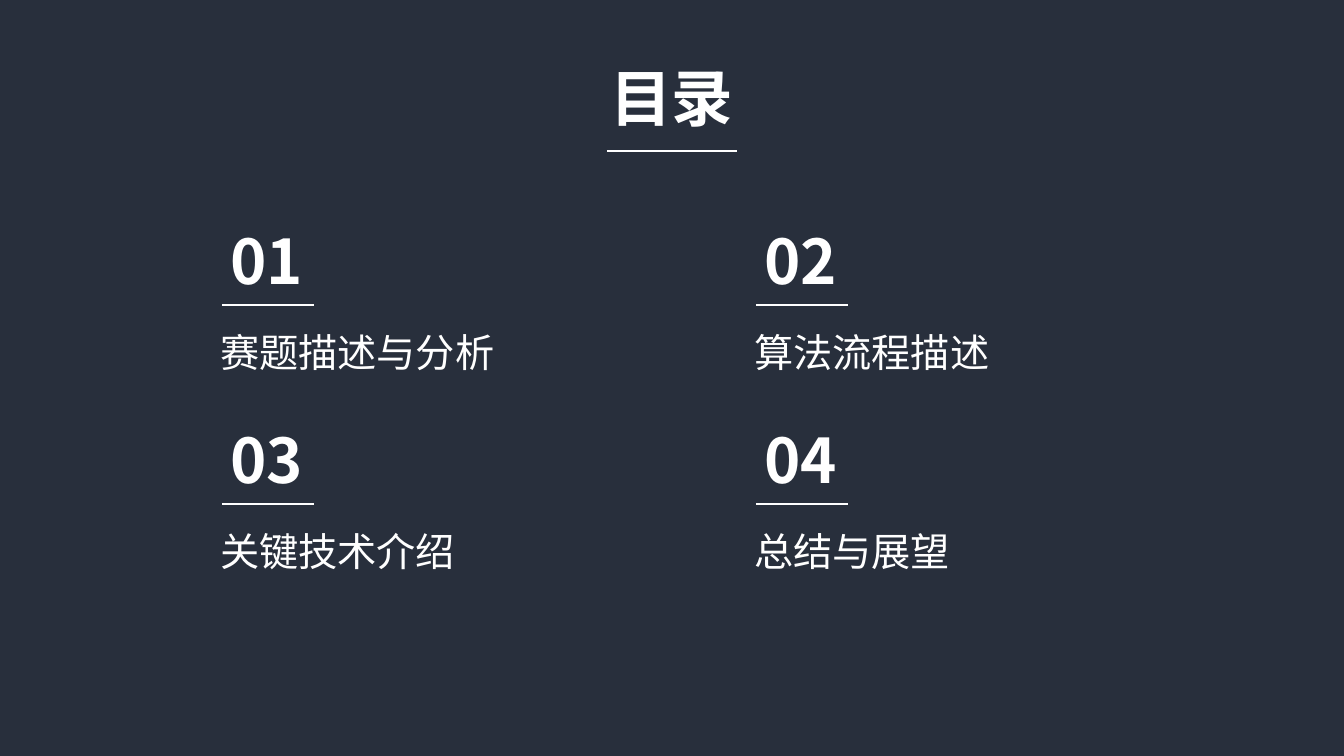
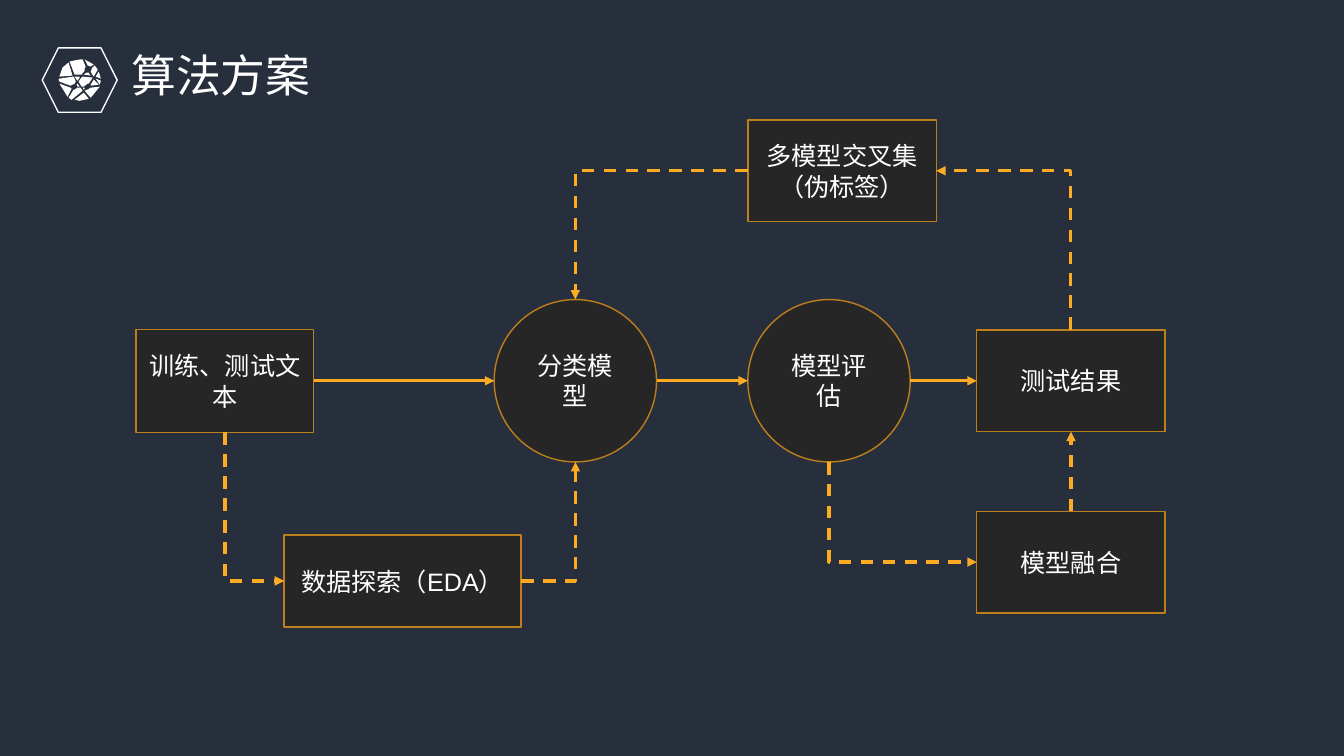
"""Build a contents slide and an algorithm flow slide in one dark style."""
from lxml.etree import SubElement
from pptx import Presentation
from pptx.dml.color import RGBColor
from pptx.enum.dml import MSO_LINE
from pptx.enum.shapes import MSO_CONNECTOR, MSO_SHAPE
from pptx.enum.text import MSO_ANCHOR, MSO_AUTO_SIZE, PP_ALIGN
from pptx.oxml.ns import qn
from pptx.util import Pt

COLORS = {
    "back": "282F3C",
    "text": "FFFFFF",
    "node": "262626",
    "edge": "BC7F1B",
    "flow": "FEAB24",
}
CJK = "Noto Sans CJK SC"
SIDES = {
    "top": (0, 0.5, 0),
    "left": (1, 0, 0.5),
    "bottom": (2, 0.5, 1),
    "right": (3, 1, 0.5),
}
TOPICS = ["赛题描述与分析", "算法流程描述", "关键技术介绍", "总结与展望"]
NODES = {
    "data": ("训练、测试文本", MSO_SHAPE.RECTANGLE, 160.7, 272, 127, 73.5),
    "classify": ("分类模型", MSO_SHAPE.OVAL, 411, 272, 116, 116),
    "explore": ("数据探索（EDA）", MSO_SHAPE.RECTANGLE, 287.6, 415, 169.2, 65.5),
    "assess": ("模型评估", MSO_SHAPE.OVAL, 592.2, 272, 116, 116),
    "cross": ("多模型交叉集（伪标签）", MSO_SHAPE.RECTANGLE, 601.5, 122, 134.6, 72.7),
    "result": ("测试结果", MSO_SHAPE.RECTANGLE, 765, 272, 134.6, 72.7),
    "fusion": ("模型融合", MSO_SHAPE.RECTANGLE, 765, 401.5, 134.6, 72.7),
}
FLOWS = [
    ("data", "right", "classify", "left", False),
    ("classify", "right", "assess", "left", False),
    ("assess", "right", "result", "left", False),
    ("data", "bottom", "explore", "left", True),
    ("explore", "right", "classify", "bottom", True),
    ("cross", "left", "classify", "top", True),
    ("result", "top", "cross", "right", True),
    ("fusion", "top", "result", "bottom", True),
    ("assess", "bottom", "fusion", "left", True),
]
GLOBE = [
    [(83, 92), (85, 94), (88, 98), (79, 100), (74, 99)],
    [(82, 87), (84, 87), (84, 88), (83, 89)],
    [(77, 87), (79, 87), (80, 87), (82, 90), (71, 99), (68, 97), (73, 89), (74, 89)],
    [(99, 86), (90, 97), (84, 90), (86, 89), (87, 89), (90, 87)],
    [(59, 83), (70, 87), (71, 88), (67, 96)],
    [(77, 83), (79, 86), (77, 86), (76, 84)],
    [(93, 79), (98, 84), (90, 85), (90, 84)],
    [(95, 78), (100, 80), (99, 84)],
    [(73, 76), (75, 80), (75, 81), (74, 83), (70, 85), (59, 81), (58, 79), (59, 78)],
    [(82, 76), (92, 77), (88, 83), (87, 83), (83, 86), (81, 86), (78, 81), (80, 78)],
    [(79, 76), (79, 77), (77, 80), (76, 79), (74, 76)],
    [(86, 72), (88, 72), (89, 74), (90, 75), (83, 74)],
    [(98, 71), (100, 78), (95, 76)],
    [(94, 65), (97, 69), (93, 76), (91, 73), (90, 71), (91, 69), (91, 68)],
    [(68, 62), (72, 75), (59, 76), (62, 67)],
    [(84, 59), (93, 64), (90, 66), (87, 65)],
    [(79, 59), (82, 59), (85, 66), (84, 68), (84, 70), (81, 74), (74, 74), (69, 61)],
]


def rgb(name):
    return RGBColor.from_string(COLORS[name])


class Deck:
    def __init__(self):
        self.prs = Presentation()
        self.prs.slide_width, self.prs.slide_height = Pt(960), Pt(540)
        fill = self.prs.slide_master.background.fill
        fill.solid()
        fill.fore_color.rgb = rgb("back")
        self.s = None

    def add_run(self, sp, text, size, bold=False, align=PP_ALIGN.LEFT,
                anchor=MSO_ANCHOR.TOP, font=CJK):
        tf = sp.text_frame
        tf.word_wrap = True
        tf.auto_size = MSO_AUTO_SIZE.NONE
        tf.vertical_anchor = anchor
        p = tf.paragraphs[0]
        p.alignment = align
        r = p.add_run()
        r.text = text
        r.font.size, r.font.bold, r.font.name = Pt(size), bold, font
        r.font.color.rgb = rgb("text")
        SubElement(r.font._element, qn("a:ea")).set("typeface", CJK)

    def slide(self, title, box, size, **style):
        self.s = self.prs.slides.add_slide(self.prs.slide_layouts[5])
        sp = self.s.shapes.title
        sp.left, sp.top, sp.width, sp.height = map(Pt, box)
        self.add_run(sp, title, size, **style)

    def text(self, text, box, size, **style):
        self.add_run(self.s.shapes.add_textbox(*map(Pt, box)), text, size, **style)

    def paint(self, sp, fill=None, line=None):
        sp.shadow.inherit = False
        if fill:
            sp.fill.solid()
            sp.fill.fore_color.rgb = rgb(fill)
        else:
            sp.fill.background()
        if line:
            sp.line.color.rgb = rgb(line)
            sp.line.width = Pt(1)
        else:
            sp.line.fill.background()

    def shape(self, kind, box, fill=None, line=None):
        sp = self.s.shapes.add_shape(kind, *map(Pt, box))
        self.paint(sp, fill, line)
        return sp

    def outline(self, contours, unit, fill):
        fb = self.s.shapes.build_freeform(*contours[0][0], scale=Pt(unit))
        for i, points in enumerate(contours):
            if i:
                fb.move_to(*points[0])
            fb.add_line_segments(points[1:], close=True)
        self.paint(fb.convert_to_shape(), fill)

    def line(self, kind, ends, color, width):
        c = self.s.shapes.add_connector(kind, *map(int, ends))
        c.line.color.rgb = rgb(color)
        c.line.width = Pt(width)
        SubElement(c._element.spPr, qn("a:effectLst"))
        return c

    def rule(self, x, y, width):
        self.line(MSO_CONNECTOR.STRAIGHT, map(Pt, (x, y, x + width, y)), "text", 1.5)

    def node(self, text, kind, cx, cy, w, h):
        sp = self.shape(kind, (cx - w / 2, cy - h / 2, w, h), "node", "edge")
        self.add_run(sp, text, 18, align=PP_ALIGN.CENTER,
                     anchor=MSO_ANCHOR.MIDDLE, font="Arial")
        return sp

    def flow(self, start, start_side, end, end_side, dashed):
        sites, points = [], []
        for sp, side in ((start, start_side), (end, end_side)):
            index, fx, fy = SIDES[side]
            step = 2 if sp.auto_shape_type == MSO_SHAPE.OVAL else 1
            sites.append((sp.shape_id, index * step))
            points += [sp.left + sp.width * fx, sp.top + sp.height * fy]
        x1, y1, x2, y2 = points
        upright = start_side in ("top", "bottom")
        bent = upright != (end_side in ("top", "bottom"))
        if bent and upright:
            cx, cy, dx, dy = (x1 + x2) / 2, (y1 + y2) / 2, y2 - y1, x1 - x2
            points = cx - dx / 2, cy - dy / 2, cx + dx / 2, cy + dy / 2
        kind = MSO_CONNECTOR.ELBOW if bent else MSO_CONNECTOR.STRAIGHT
        c = self.line(kind, points, "flow", 2.25)
        if dashed:
            c.line.dash_style = MSO_LINE.DASH
        spPr = c._element.spPr
        SubElement(spPr.find(qn("a:ln")), qn("a:tailEnd")).set("type", "triangle")
        if bent:
            spPr.find(qn("a:prstGeom")).set("prst", "bentConnector2")
            if upright:
                spPr.find(qn("a:xfrm")).set("rot", "5400000")
        links = c._element.find(".//" + qn("p:cNvCxnSpPr"))
        for tag, (shape_id, index) in zip(("a:stCxn", "a:endCxn"), sites):
            SubElement(links, qn(tag), id=str(shape_id), idx=str(index))


def contents(deck):
    deck.slide("目录", (289, 39.5, 382, 60.5), 44, bold=True, align=PP_ALIGN.CENTER)
    deck.rule(433.5, 108, 93)
    for i, topic in enumerate(TOPICS):
        row, col = divmod(i, 2)
        x, y = 128 + 381.5 * col, 155.5 + 142 * row
        deck.text(f"{i + 1:02}", (x, y, 125, 60.5), 44, bold=True,
                  align=PP_ALIGN.CENTER)
        deck.rule(x + 30.5, y + 62.5, 65.5)
        deck.text(topic, (x + 22.3, y + 75.5, 279.5, 41), 28)


def algorithm(deck):
    deck.slide("算法方案", (86.5, 30.2, 351, 46), 32)
    deck.shape(MSO_SHAPE.HEXAGON, (30.2, 34.2, 53.5, 46), line="text")
    deck.outline(GLOBE, 0.72, "text")
    nodes = {key: deck.node(*node) for key, node in NODES.items()}
    for start, start_side, end, end_side, dashed in FLOWS:
        deck.flow(nodes[start], start_side, nodes[end], end_side, dashed)


def main():
    deck = Deck()
    contents(deck)
    algorithm(deck)
    deck.prs.save("out.pptx")


if __name__ == "__main__":
    main()
